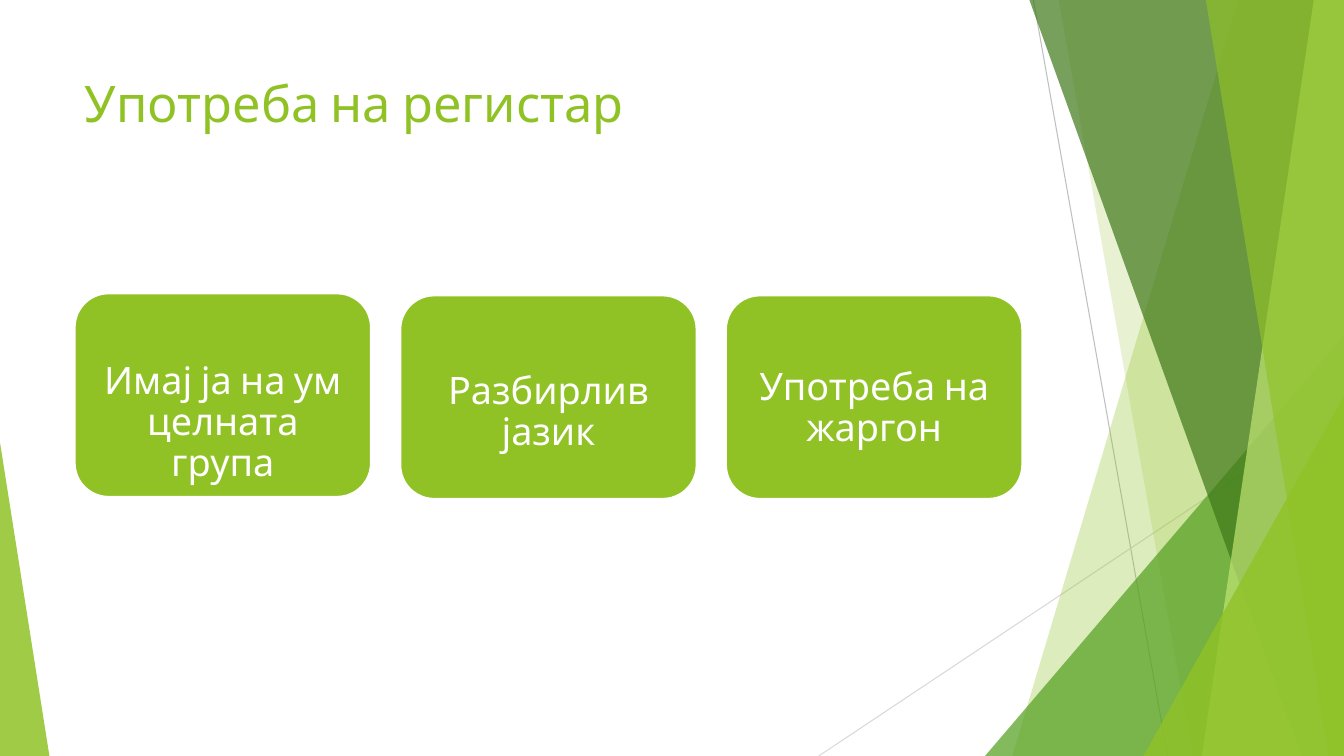
from lxml import etree
from pptx import Presentation
from pptx.dml.color import RGBColor
from pptx.enum.shapes import MSO_CONNECTOR, MSO_SHAPE
from pptx.enum.text import MSO_ANCHOR, PP_ALIGN
from pptx.oxml.ns import qn
from pptx.util import Inches, Pt

GREEN = RGBColor(0x90, 0xC2, 0x26)
MID_GREEN = RGBColor(0x54, 0xA0, 0x21)
DARK_GREEN = RGBColor(0x3F, 0x78, 0x19)
PALE_GREEN = RGBColor(0xC0, 0xE4, 0x74)
GREY = RGBColor(0xBF, 0xBF, 0xBF)
LIGHT_GREY = RGBColor(0xD9, 0xD9, 0xD9)
WHITE = RGBColor(0xFF, 0xFF, 0xFF)
FONT = "Cabin"
WIDTH, HEIGHT = 13.33, 7.5


def fill_translucent(shape, color, opacity):
    shape.shadow.inherit = False
    shape.line.fill.background()
    shape.fill.solid()
    shape.fill.fore_color.rgb = color
    color_element = shape.fill._xPr.find(qn("a:solidFill"))[0]
    etree.SubElement(color_element, qn("a:alpha"), val=str(opacity * 1000))


def add_run(paragraph, text, size, color):
    run = paragraph.add_run()
    run.text = text
    run.font.name = FONT
    run.font.size = Pt(size)
    run.font.color.rgb = color


presentation = Presentation()
presentation.slide_width = Inches(WIDTH)
presentation.slide_height = Inches(HEIGHT)
slide = presentation.slides.add_slide(presentation.slide_layouts[5])
shapes = slide.shapes

for x1, y1, x2, y2, color in [
    (10.25, 0, 11.58, HEIGHT, GREY),
    (WIDTH, 4.03, 8.12, HEIGHT, LIGHT_GREY),
]:
    connector = shapes.add_connector(
        MSO_CONNECTOR.STRAIGHT, Inches(x1), Inches(y1), Inches(x2), Inches(y2)
    )
    connector.line.color.rgb = color
    connector.line.width = Pt(0.75)
    etree.SubElement(connector._element.spPr, qn("a:effectLst"))

bands = [
    ("facet", 12.28, 10.04, GREEN, 30),
    ("facet", 10.5, 11.83, GREEN, 20),
    ("triangle", 9.77, 3.33, 3.56, 1, MID_GREEN, 72),
    ("facet", 10.21, 12.91, DARK_GREEN, 70),
    ("facet", 13.03, 11.92, PALE_GREEN, 70),
    ("facet", 11.96, 13.18, GREEN, 65),
    ("triangle", 11.34, 3.93, 1.99, 1, GREEN, 80),
    ("triangle", 0, 4.39, 0.49, 0, GREEN, 85),
]
for kind, *geometry, color, opacity in bands:
    if kind == "facet":
        top_x, bottom_x = geometry
        builder = shapes.build_freeform(Inches(top_x), 0)
        corners = [(WIDTH, 0), (WIDTH, HEIGHT), (bottom_x, HEIGHT)]
        builder.add_line_segments([(Inches(x), Inches(y)) for x, y in corners])
        band = builder.convert_to_shape()
    else:
        left, top, width, apex = geometry
        band = shapes.add_shape(
            MSO_SHAPE.ISOSCELES_TRIANGLE,
            Inches(left), Inches(top), Inches(width), Inches(HEIGHT - top),
        )
        band.adjustments[0] = apex
    fill_translucent(band, color, opacity)

title = shapes.title
title.left, title.top = Inches(0.74), Inches(0.67)
title.width, title.height = Inches(9.4), Inches(1.44)
title.text_frame.vertical_anchor = MSO_ANCHOR.TOP
title_paragraph = title.text_frame.paragraphs[0]
title_paragraph.alignment = PP_ALIGN.LEFT
add_run(title_paragraph, "Употреба на регистар", 36, GREEN)

cards = [
    ("Имај ја на ум целната група", 2.91, 3.38),
    ("Разбирлив јазик", 2.93, 3.48),
    ("Употреба на жаргон", 2.93, 3.44),
]
for index, (text, card_top, text_top) in enumerate(cards):
    left = Inches(0.74 + index * 3.23)
    card = shapes.add_shape(
        MSO_SHAPE.ROUNDED_RECTANGLE, left, Inches(card_top), Inches(2.94), Inches(2.02)
    )
    card.shadow.inherit = False
    card.fill.solid()
    card.fill.fore_color.rgb = GREEN
    card.line.color.rgb = WHITE
    card.line.width = Pt(1.5)

    label = shapes.add_textbox(left, Inches(text_top), Inches(2.94), Inches(1.09))
    frame = label.text_frame
    frame.word_wrap = True
    frame.vertical_anchor = MSO_ANCHOR.TOP
    frame.margin_left = frame.margin_right = frame.margin_top = Inches(0.21)
    frame.margin_bottom = 0
    paragraph = frame.paragraphs[0]
    paragraph.alignment = PP_ALIGN.CENTER
    paragraph.line_spacing = 0.9
    add_run(paragraph, text, 27, WHITE)

presentation.save("out.pptx")
